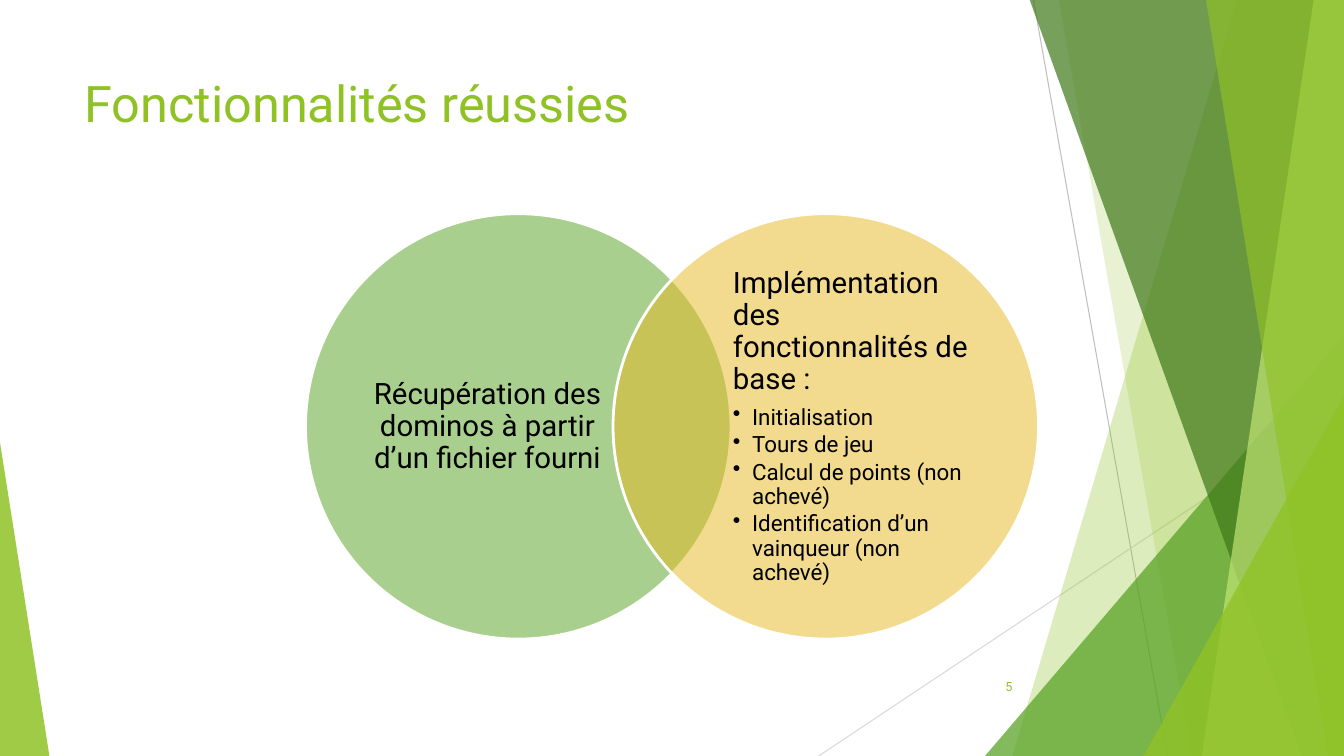
import pptx
import pptx.dml.color
import pptx.enum.shapes
import pptx.enum.text
import pptx.oxml
import pptx.oxml.ns
import pptx.util

PX = 9144  # EMU per px, 100 px to the inch
WIDTH, HEIGHT = 1333, 750
FONT = "Roboto"
COLOURS = {
    "lime": "90C226",
    "green": "54A021",
    "forest": "3F7819",
    "pale": "C0E474",
    "gold": "E6B91E",
    "grey": "BFBFBF",
    "silver": "D9D9D9",
    "white": "FFFFFF",
    "black": "000000",
}
ALIGN = pptx.enum.text.PP_ALIGN
ANCHOR = pptx.enum.text.MSO_ANCHOR
SHAPE = pptx.enum.shapes.MSO_SHAPE

NO_INSETS = dict.fromkeys(
    ("margin_left", "margin_top", "margin_right", "margin_bottom"), 0)
CIRCLE_FRAME = {"vertical_anchor": ANCHOR.MIDDLE, **NO_INSETS}
HEADING = {"line_spacing": 0.9, "space_after": pptx.util.Pt(7.35)}
ITEM = {"line_spacing": 0.9, "space_after": pptx.util.Pt(2.4), "level": 1}
ITEM_INDENT = 19

CIRCLE_SIZE = 422
CIRCLE_TOP = 212
CIRCLE_TEXT_TOP, CIRCLE_TEXT_WIDTH, CIRCLE_TEXT_HEIGHT = 262, 243, 323

FEATURES = (
    "Initialisation",
    "Tours de jeu",
    "Calcul de points (non achevé)",
    "Identification d’un vainqueur (non achevé)",
)


def px(*lengths):
    return [length * PX for length in lengths]


def rgb(colour):
    return pptx.dml.color.RGBColor.from_string(COLOURS[colour])


def apply(target, values):
    for name, value in values.items():
        setattr(target, name, value)


def add_xml(parent, tag, **attributes):
    child = pptx.oxml.parse_xml(
        f"<a:{tag} {pptx.oxml.ns.nsdecls('a')}/>")
    for name, value in attributes.items():
        child.set(name, str(value))
    parent.append(child)


def paint(shape, colour, opacity):
    """Fill a shape with a see-through colour, without line or shadow."""
    shape.shadow.inherit = False
    shape.fill.solid()
    shape.fill.fore_color.rgb = rgb(colour)
    solid = shape.fill._xPr.find(pptx.oxml.ns.qn("a:solidFill"))
    add_xml(solid[0], "alpha", val=opacity * 1000)
    shape.line.fill.background()


def add_ray(slide, start, end, colour):
    ray = slide.shapes.add_connector(
        pptx.enum.shapes.MSO_CONNECTOR.STRAIGHT, *px(*start, *end))
    ray.line.color.rgb = rgb(colour)
    ray.line.width = pptx.util.Pt(0.75)
    add_xml(ray._element.spPr, "effectLst")


def add_band(slide, top_left, bottom_left, colour, opacity):
    """Draw a facet that runs from its slanted left side to the right edge."""
    top = -1
    builder = slide.shapes.build_freeform(top_left, top, scale=PX)
    builder.add_line_segments(
        [(WIDTH, top), (WIDTH, HEIGHT), (bottom_left, HEIGHT)], close=True)
    paint(builder.convert_to_shape(), colour, opacity)


def add_corner(slide, left, top, width, apex, colour, opacity):
    """Draw a right triangle standing on the bottom edge; apex is 0 or 1."""
    corner = slide.shapes.add_shape(
        SHAPE.ISOSCELES_TRIANGLE, *px(left, top, width, HEIGHT - top))
    corner.adjustments[0] = apex
    paint(corner, colour, opacity)


def add_circle(slide, left, colour):
    circle = slide.shapes.add_shape(
        SHAPE.OVAL, *px(left, CIRCLE_TOP, CIRCLE_SIZE, CIRCLE_SIZE))
    paint(circle, colour, 50)
    circle.line.color.rgb = rgb("white")
    circle.line.width = pptx.util.Pt(2)


def add_text_frame(slide, box, frame_format):
    frame = slide.shapes.add_textbox(*px(*box)).text_frame
    frame.word_wrap = True
    apply(frame, frame_format)
    return frame


def write(paragraph, text, size, colour, paragraph_format):
    apply(paragraph, paragraph_format)
    run = paragraph.add_run()
    run.text = text
    apply(run.font, {"name": FONT, "size": pptx.util.Pt(size)})
    run.font.color.rgb = rgb(colour)


def add_item(frame, text):
    paragraph = frame.add_paragraph()
    properties = paragraph._p.get_or_add_pPr()
    properties.set("marL", str(ITEM_INDENT * PX))
    properties.set("indent", str(-ITEM_INDENT * PX))
    add_xml(properties, "buChar", char="•")
    write(paragraph, text, 16, "black", ITEM)


def add_circle_text(slide, left, heading, align):
    frame = add_text_frame(
        slide,
        (left, CIRCLE_TEXT_TOP, CIRCLE_TEXT_WIDTH, CIRCLE_TEXT_HEIGHT),
        CIRCLE_FRAME)
    write(frame.paragraphs[0], heading, 21, "black",
          {**HEADING, "alignment": align})
    return frame


def add_backdrop(slide):
    add_ray(slide, (1025, 0), (1158, HEIGHT), "grey")
    add_ray(slide, (WIDTH, 403), (812, HEIGHT), "silver")
    add_band(slide, 1227, 1004, "lime", 30)
    add_band(slide, 1050, 1182, "lime", 20)
    add_corner(slide, 977, 333, 356, 1, "green", 72)
    add_band(slide, 1021, 1291, "forest", 70)
    add_band(slide, 1303, 1192, "pale", 70)
    add_band(slide, 1196, 1317, "lime", 65)
    add_corner(slide, 1134, 393, 199, 1, "lime", 80)
    add_corner(slide, 0, 439, 49, 0, "lime", 85)


def main():
    deck = pptx.Presentation()
    apply(deck, {"slide_width": WIDTH * PX, "slide_height": HEIGHT * PX})
    slide = deck.slides.add_slide(deck.slide_layouts[6])

    add_backdrop(slide)

    title = add_text_frame(slide, (74, 67, 940, 144),
                           {"vertical_anchor": ANCHOR.TOP})
    write(title.paragraphs[0], "Fonctionnalités réussies", 36, "lime", {})

    add_circle(slide, 303, "green")
    add_circle_text(
        slide, 362, "Récupération des dominos à partir d’un fichier fourni",
        ALIGN.CENTER)

    add_circle(slide, 608, "gold")
    basics = add_circle_text(
        slide, 727, "Implémentation des fonctionnalités de base :", ALIGN.LEFT)
    for feature in FEATURES:
        add_item(basics, feature)

    number = add_text_frame(slide, (939, 661, 75, 40),
                            {"vertical_anchor": ANCHOR.MIDDLE})
    write(number.paragraphs[0], "5", 9, "lime", {"alignment": ALIGN.RIGHT})

    deck.save("out.pptx")


if __name__ == "__main__":
    main()
